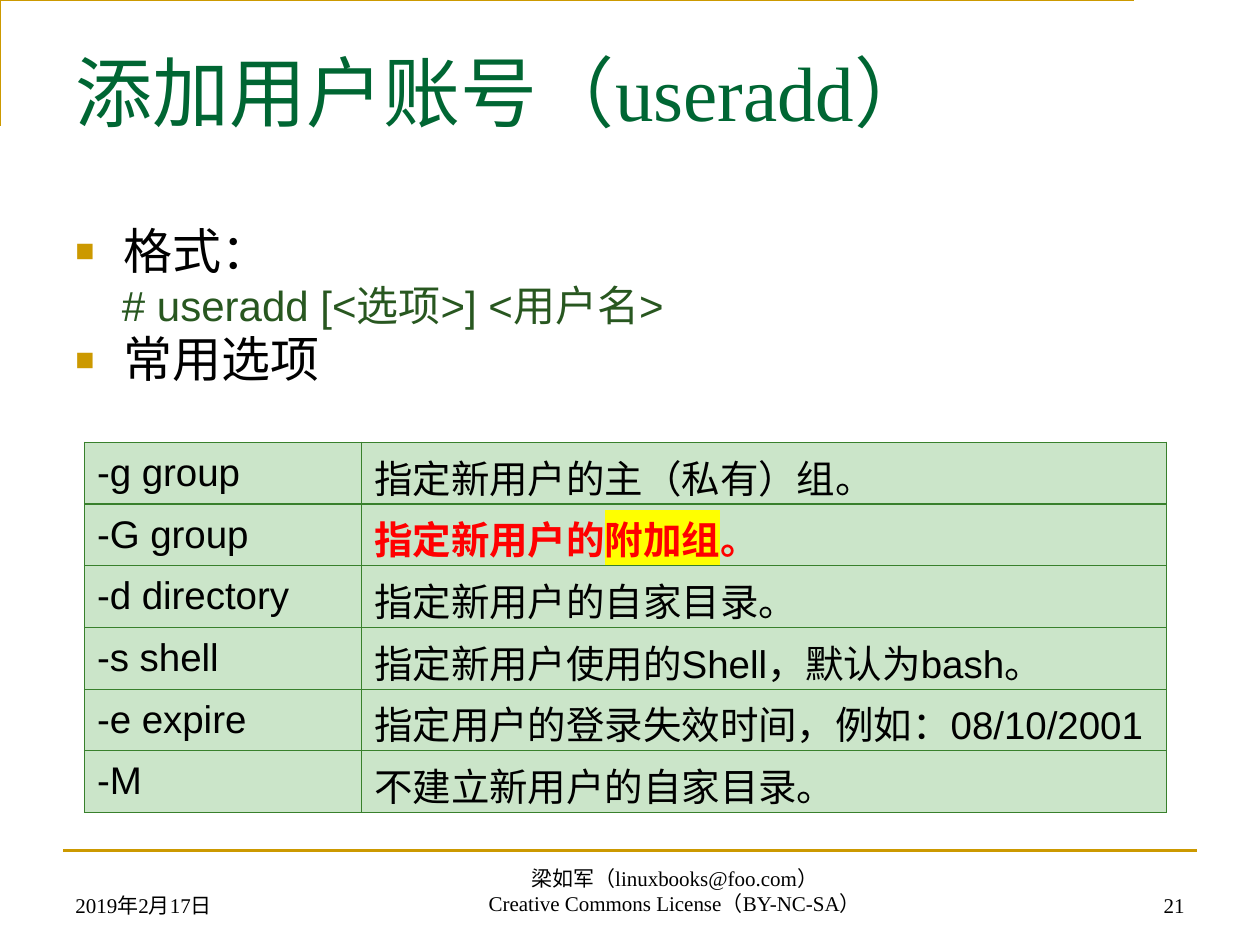
from dataclasses import dataclass
from typing import Any

from lxml import etree
from pptx import Presentation
from pptx import util as u
from pptx.dml.color import RGBColor
from pptx.enum import shapes, text
from pptx.oxml import ns

GOLD = RGBColor(0xCC, 0x99, 0x00)
GREEN = RGBColor(0x00, 0x66, 0x33)
MOSS = RGBColor(0x28, 0x57, 0x20)
EDGE = RGBColor(0x38, 0x80, 0x2C)
MINT = RGBColor(0xCB, 0xE5, 0xC9)
RED = RGBColor(0xFF, 0x00, 0x00)
YELLOW = RGBColor(0xFF, 0xFF, 0x00)
BLACK = RGBColor(0x00, 0x00, 0x00)
SERIF, SANS = "Times New Roman", "Arial"
ALIGN = text.PP_ALIGN
ANCHOR = text.MSO_ANCHOR


@dataclass
class Line:
    words: str
    size: int = 28
    color: RGBColor = BLACK
    left: float = 0.38
    hang: float = -0.38
    mark: bool = True


@dataclass
class Note:
    lines: list[str]
    left: float
    top: float
    width: float
    align: Any


@dataclass
class Option:
    flag: str
    usage: list[str]
    hot: bool = False


BODY = [
    Line("格式："),
    Line("# useradd [<选项>] <用户名>", 24, MOSS, 0.73, -0.36, False),
    Line("常用选项"),
]
NOTES = [
    Note(["2019年2月17日"], 0.5, 6.83, 2.33, ALIGN.LEFT),
    Note(["梁如军（linuxbooks@foo.com）", "Creative Commons License（BY-NC-SA）"],
         2.4, 6.82, 5.91, ALIGN.CENTER),
    Note(["21"], 7.17, 6.83, 2.33, ALIGN.RIGHT),
]
OPTIONS = [
    Option("-g group", ["指定新用户的主（私有）组。"]),
    Option("-G group", ["指定新用户的", "附加组", "。"], True),
    Option("-d directory", ["指定新用户的自家目录。"]),
    Option("-s shell", ["指定新用户使用的Shell，默认为bash。"]),
    Option("-e expire", ["指定用户的登录失效时间，例如：08/10/2001"]),
    Option("-M", ["不建立新用户的自家目录。"]),
]


def add(root: Any, tag: str, **attrs: str) -> Any:
    return etree.SubElement(root, ns.qn(tag), attrs)


def write(para: Any, words: str, *, size: int, font: str = SANS, color: RGBColor = BLACK,
          bold: bool = False, align: Any = ALIGN.LEFT, glow: RGBColor | None = None,
          left: float = 0, hang: float = 0) -> None:
    para.alignment = align
    props = para._p.get_or_add_pPr()
    props.set("marL", str(u.Inches(left)))
    props.set("indent", str(u.Inches(hang)))
    run = para.add_run()
    run.text = words
    run.font.size = u.Pt(size)
    run.font.bold = bold
    run.font.color.rgb = color
    if glow is not None:
        add(add(run._r.get_or_add_rPr(), "a:highlight"), "a:srgbClr", val=str(glow))
    run.font.name = font


def bullet(para: Any) -> None:
    props = para._p.get_or_add_pPr()
    add(add(props, "a:buClr"), "a:srgbClr", val=str(GOLD))
    add(props, "a:buSzPct", val="65000")
    add(props, "a:buFont", typeface=SANS)
    add(props, "a:buChar", char="■")


def box(slide: Any, left: float, top: float, width: float, height: float, anchor: Any) -> Any:
    shape = slide.shapes.add_textbox(*map(u.Inches, (left, top, width, height)))
    shape.text_frame.word_wrap = True
    shape.text_frame.vertical_anchor = anchor
    return shape.text_frame


def lines(frame: Any, count: int) -> Any:
    for _ in range(count - 1):
        frame.add_paragraph()
    return frame.paragraphs


def rules(slide: Any) -> None:
    pen = slide.shapes.build_freeform(0.42, 0.92, scale=float(u.Inches(1)))
    pen.add_line_segments([(0.42, 0.25), (9.42, 0.25)], close=False)
    frame = pen.convert_to_shape()
    frame.fill.background()
    frame.shadow.inherit = False
    foot = slide.shapes.add_connector(
        shapes.MSO_CONNECTOR.STRAIGHT, *map(u.Inches, (0.5, 6.75, 9.5, 6.75)))
    for shape in (frame, foot):
        shape.line.color.rgb = GOLD
        shape.line.width = u.Pt(1.5)
    add(foot._element.spPr, "a:effectLst")


def title(slide: Any) -> None:
    head = slide.shapes.title
    head.left, head.top, head.width, head.height = map(u.Inches, (0.5, 0.3, 9, 1.25))
    frame = head.text_frame
    frame.auto_size = text.MSO_AUTO_SIZE.NONE
    frame.vertical_anchor = ANCHOR.TOP
    write(frame.paragraphs[0], "添加用户账号（useradd）", size=44, font=SERIF, color=GREEN)


def body(slide: Any) -> None:
    frame = box(slide, 0.5, 1.75, 9, 1.61, ANCHOR.TOP)
    for para, line in zip(lines(frame, len(BODY)), BODY):
        para.line_spacing = 0.9
        para.space_before = u.Pt(3)
        write(para, line.words, size=line.size, color=line.color,
              left=line.left, hang=line.hang)
        if line.mark:
            bullet(para)


def note(slide: Any, item: Note) -> None:
    frame = box(slide, item.left, item.top, item.width, 0.5, ANCHOR.BOTTOM)
    for para, words in zip(lines(frame, len(item.lines)), item.lines):
        write(para, words, size=12, font=SERIF, align=item.align)


def paint(cell: Any) -> None:
    cell.vertical_anchor = ANCHOR.MIDDLE
    props = cell._tc.get_or_add_tcPr()
    for side in "LRTB":
        edge = add(props, f"a:ln{side}", w=str(u.Pt(0.75)))
        add(add(edge, "a:solidFill"), "a:srgbClr", val=str(EDGE))
    cell.fill.solid()
    cell.fill.fore_color.rgb = MINT


def table(slide: Any) -> None:
    grid = slide.shapes.add_table(
        len(OPTIONS), 2, *map(u.Inches, (0.67, 3.51, 8.59, 2.94))).table
    grid.first_row = grid.horz_banding = False
    for col, width in zip(grid.columns, (2.2, 6.39)):
        col.width = u.Inches(width)
    for row, item in enumerate(OPTIONS):
        grid.rows[row].height = u.Inches(0.49)
        for col, chunks in enumerate(([item.flag], item.usage)):
            cell = grid.cell(row, col)
            paint(cell)
            hot = item.hot and col == 1
            for spot, words in enumerate(chunks):
                write(cell.text_frame.paragraphs[0], words, size=22, bold=hot,
                      color=RED if hot else BLACK, align=ALIGN.JUSTIFY,
                      glow=YELLOW if hot and spot == 1 else None, left=0.38, hang=-0.38)


def main() -> None:
    deck = Presentation()
    deck.slide_width, deck.slide_height = u.Inches(10), u.Inches(7.5)
    slide = deck.slides.add_slide(deck.slide_layouts[5])
    rules(slide)
    title(slide)
    body(slide)
    for item in NOTES:
        note(slide, item)
    table(slide)
    deck.save("out.pptx")


main()
